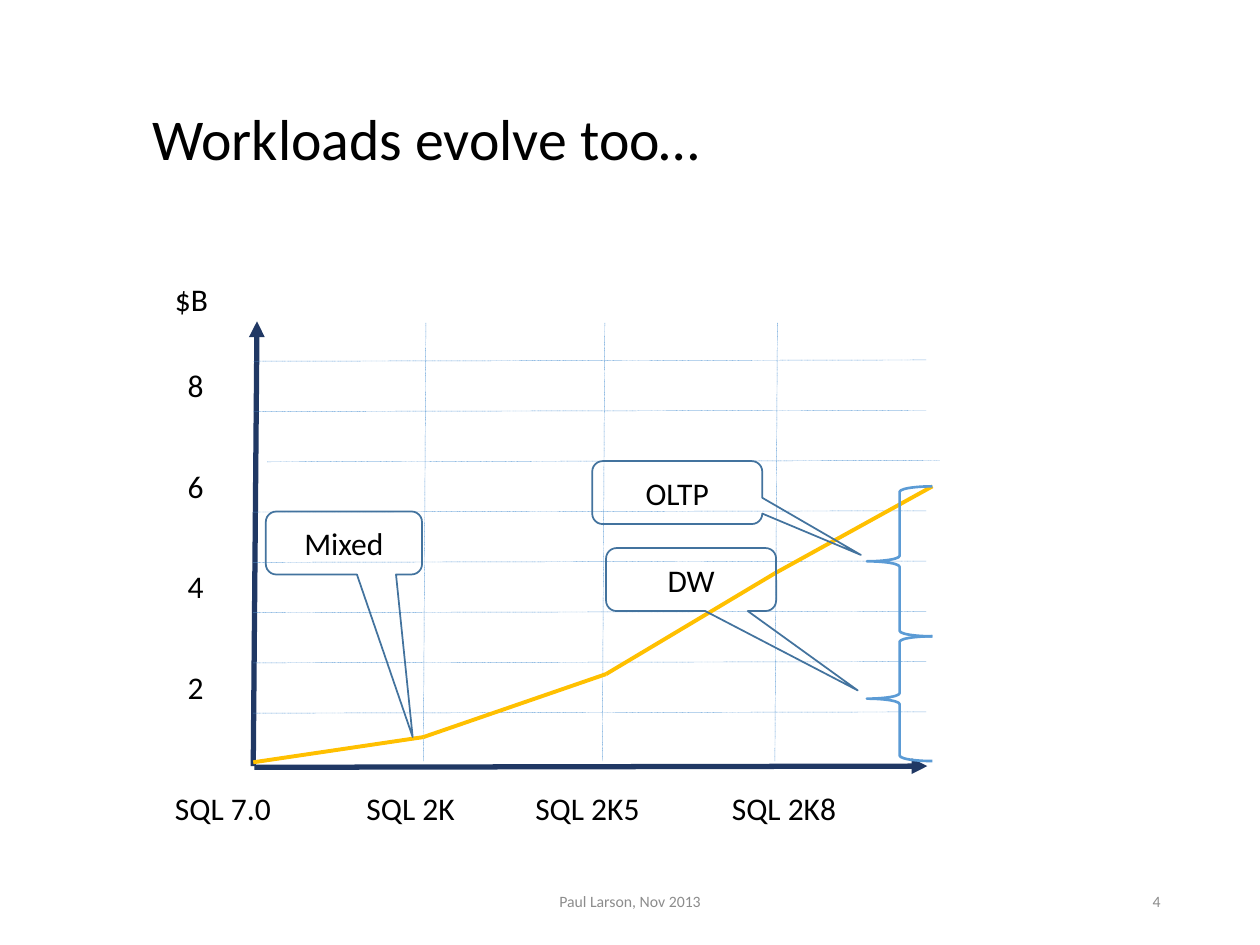
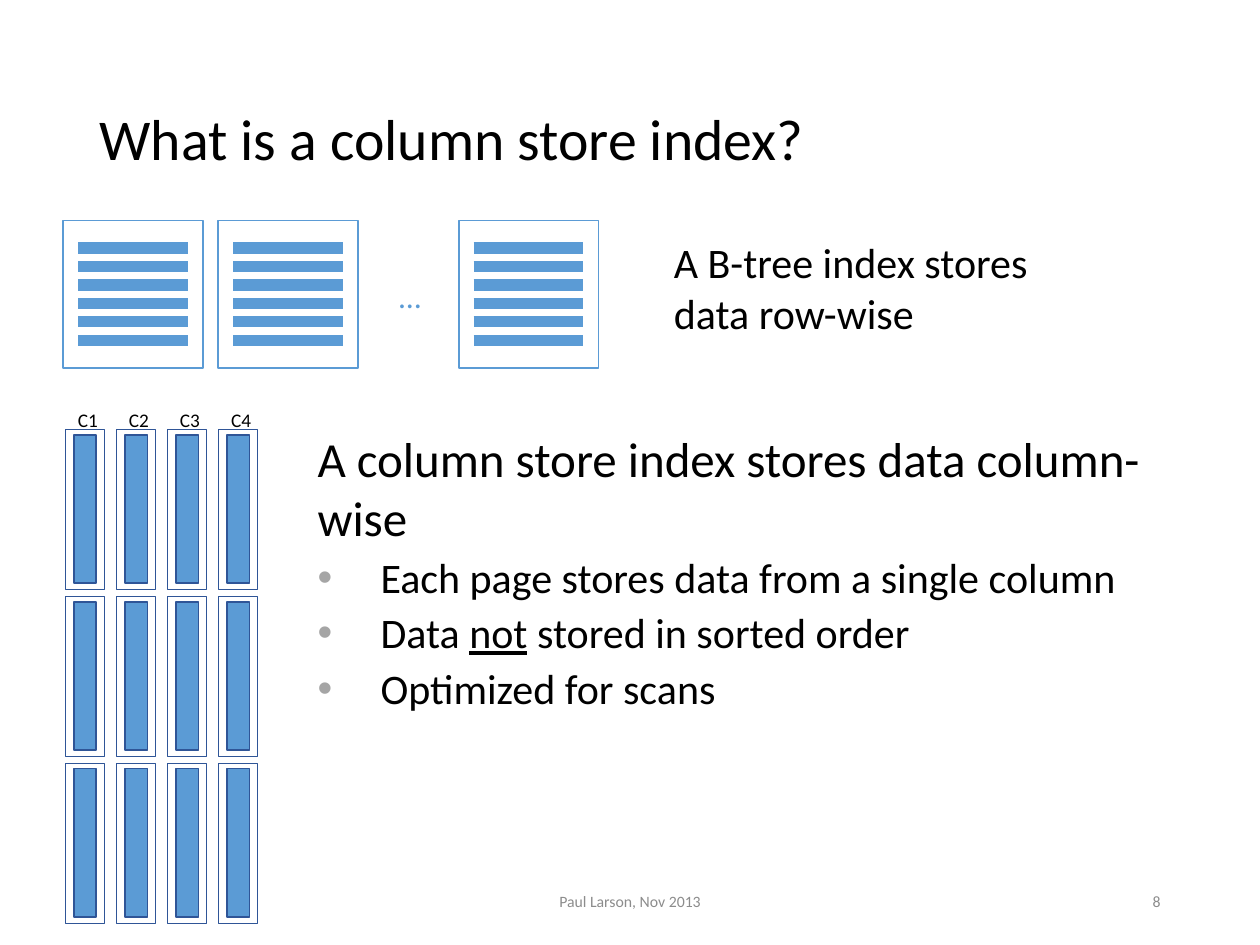
from itertools import pairwise

from lxml import etree
from pptx import Presentation
from pptx.dml.color import RGBColor
from pptx.enum.dml import MSO_LINE
from pptx.enum.shapes import MSO_CONNECTOR, MSO_SHAPE
from pptx.enum.text import MSO_ANCHOR, MSO_AUTO_SIZE, PP_ALIGN
from pptx.oxml.ns import qn
from pptx.util import Inches, Pt

STRAIGHT = MSO_CONNECTOR.STRAIGHT
RECTANGLE = MSO_SHAPE.RECTANGLE
BRACE = MSO_SHAPE.LEFT_BRACE
CALLOUT = MSO_SHAPE.ROUNDED_RECTANGULAR_CALLOUT
DOTTED = MSO_LINE.ROUND_DOT
LEFT, CENTER, RIGHT = PP_ALIGN.LEFT, PP_ALIGN.CENTER, PP_ALIGN.RIGHT
TOP, MIDDLE = MSO_ANCHOR.TOP, MSO_ANCHOR.MIDDLE
NO_RESIZE = MSO_AUTO_SIZE.NONE

GRID_COLUMNS, GRID_ROWS = 100, 75
TITLE_LAYOUT, BODY_LAYOUT = 5, 1

FONT = "Calibri"
BLACK = "000000"
GRAY = "8C8C8C"
BULLET_GRAY = "A5A5A5"
BLUE = "5B9BD5"
CALLOUT_BLUE = "43739E"
FRAME_BLUE = "2F5597"
NAVY = "203864"
GOLD = "FFC000"


def color(value):
    return RGBColor.from_string(value)


def apply(target, values):
    for name, value in values.items():
        setattr(target, name, value)


class SlideBuilder:
    def __init__(self, deck):
        self.deck = deck
        self.page = None

    def across(self, columns):
        return round(self.deck.slide_width * columns / GRID_COLUMNS)

    def down(self, rows):
        return round(self.deck.slide_height * rows / GRID_ROWS)

    def area(self, left, top, width, height):
        return self.across(left), self.down(top), self.across(width), self.down(height)

    def place(self, shape, area):
        apply(shape, dict(zip(("left", "top", "width", "height"), self.area(*area))))

    def start(self, layout, title, title_left, number):
        self.page = self.deck.slides.add_slide(self.deck.slide_layouts[layout])
        heading = self.page.shapes.title
        self.place(heading, (title_left, 4, 93.1 - title_left, 14.5))
        self.set_text(heading, title, size=33, anchor=MIDDLE, spacing=0.9)
        small = {"size": 9, "ink": GRAY, "anchor": MIDDLE}
        self.label("Paul Larson, Nov 2013", (33.1, 69.5, 33.8, 4), align=CENTER, **small)
        self.label(str(number), (70.6, 69.5, 22.5, 4), align=RIGHT, **small)

    def span(self, para, text, size, ink=BLACK, underline=None):
        span = para.add_run()
        span.text = text
        apply(span.font, {"name": FONT, "size": Pt(size), "underline": underline})
        span.font.color.rgb = color(ink)

    def set_text(self, box, text, size=18, ink=BLACK, align=LEFT, anchor=TOP,
                 wrap=True, spacing=1.0):
        frame = box.text_frame
        apply(frame, {"word_wrap": wrap, "auto_size": NO_RESIZE, "vertical_anchor": anchor})
        para = frame.paragraphs[0]
        apply(para, {"alignment": align, "line_spacing": spacing})
        self.span(para, text, size, ink)

    def label(self, text, area, **style):
        box = self.page.shapes.add_textbox(*self.area(*area))
        self.set_text(box, text, **style)

    def shape(self, kind, area, line, width=1, fill=None, adjustments=()):
        shape = self.page.shapes.add_shape(kind, *self.area(*area))
        shape.shadow.inherit = False
        if fill:
            shape.fill.solid()
            shape.fill.fore_color.rgb = color(fill)
        else:
            shape.fill.background()
        shape.line.color.rgb = color(line)
        shape.line.width = Pt(width)
        for index, value in enumerate(adjustments):
            shape.adjustments[index] = value
        return shape

    def callout(self, text, area, tip):
        box = self.shape(CALLOUT, area, CALLOUT_BLUE, adjustments=(*tip, 0.167))
        self.set_text(box, text, align=CENTER, anchor=MIDDLE)

    def line(self, start, end, ink, width, dash=None, arrow=False):
        line = self.page.shapes.add_connector(
            STRAIGHT, self.across(start[0]), self.down(start[1]),
            self.across(end[0]), self.down(end[1]))
        line.line.color.rgb = color(ink)
        apply(line.line, {"width": Pt(width), "dash_style": dash})
        properties = line.element.spPr
        if arrow:
            etree.SubElement(properties.find(qn("a:ln")), qn("a:tailEnd"), type="triangle")
        etree.SubElement(properties, qn("a:effectLst"))

    def body(self, area, lead, points):
        box = self.page.placeholders[1]
        self.place(box, area)
        frame = box.text_frame
        apply(frame, {"word_wrap": True, "auto_size": NO_RESIZE, "vertical_anchor": TOP})
        for index, spans in enumerate([lead, *points]):
            para = frame.paragraphs[0] if index == 0 else frame.add_paragraph()
            self.bullet(para, index > 0)
            apply(para, {"alignment": LEFT, "space_before": Pt(3 if index else 0)})
            for text, underline in spans:
                self.span(para, text, 24 if index else 28, underline=underline)

    def bullet(self, para, shown):
        properties = para._p.get_or_add_pPr()
        indent = Inches(0.5) if shown else 0
        properties.set("marL", str(indent))
        properties.set("indent", str(-indent))
        if shown:
            tint = etree.SubElement(properties, qn("a:buClr"))
            etree.SubElement(tint, qn("a:srgbClr"), val=BULLET_GRAY)
            etree.SubElement(properties, qn("a:buChar"), char="•")
        else:
            etree.SubElement(properties, qn("a:buNone"))


def workloads(builder):
    builder.start(TITLE_LAYOUT, "Workloads evolve too…", 11.1, 4)

    builder.line((20.2, 60.9), (73.6, 60.8), NAVY, 3, arrow=True)
    builder.line((20.1, 60.8), (20.4, 25.5), NAVY, 3, arrow=True)
    releases = {"SQL 7.0": 12.9, "SQL 2K": 28.1, "SQL 2K5": 41.5, "SQL 2K8": 57.1}
    for release, left in releases.items():
        builder.label(release, (left, 62.1, 14.2, 4.8))

    for column in (33.6, 47.8, 61.5):
        builder.line((column, 60.4), (column + 0.2, 25.6), BLUE, 0.25, DOTTED)
    grid_step = 3.99
    for index in range(8):
        left = 21.2 if index == 5 else 20.1
        row = 56.6 - index * grid_step
        builder.line((left, row), (left + 53.4, row - 0.1), BLUE, 0.25, DOTTED)
    for index in range(4):
        builder.label(str(2 * index + 2), (13.9, 52.5 - 2 * index * grid_step, 6.2, 4.8))
    builder.label("$B", (12.9, 21.7, 8.3, 4.8))

    revenue = [(20.1, 60.5), (33.6, 58.5), (48.1, 53.5), (61.5, 45.5), (74, 38.6)]
    for start, end in pairwise(revenue):
        builder.line(start, end, GOLD, 2.25)
    for top, height in ((38.6, 11.9), (50.5, 9.9)):
        builder.shape(BRACE, (68.8, top, 5.2, height), BLUE, 1.5)

    builder.callout("OLTP", (47, 36.6, 13.5, 5), (1.08, 0.99))
    builder.callout("DW", (48.1, 43.5, 13.5, 5), (0.98, 1.76))
    builder.callout("Mixed", (21.1, 40.6, 12.4, 5), (0.44, 3.08))


def column_store(builder):
    builder.start(BODY_LAYOUT, "What is a column store index?", 6.9, 8)
    builder.body(
        (24.2, 33.5, 74.2, 35.7),
        [("A column store index stores data column-wise", None)],
        [[("Each page stores data from a single column", None)],
         [("Data ", None), ("not", True), (" stored in sorted order", None)],
         [("Optimized for scans", None)]])

    builder.label("…", (30.7, 21.5, 3.5, 3.5), ink=BLUE)
    for page_left in (5, 17.3, 36.4):
        builder.shape(RECTANGLE, (page_left, 17.5, 11.1, 11.7), BLUE)
        for index in range(6):
            row = 19.7 + 1.46 * index
            builder.line((page_left + 1.2, row), (page_left + 9.9, row), BLUE, 6.5)
    builder.label("A B-tree index stores data row-wise", (52.5, 18.3, 32.5, 9.1), size=24)

    for column in range(4):
        left = 5.2 + 4.05 * column
        builder.label(f"C{column + 1}", (left, 31.9, 4.1, 2.7), size=11, wrap=False)
        for segment in range(3):
            top = 34.1 + 13.25 * segment
            builder.shape(RECTANGLE, (left, top, 3.1, 12.7), FRAME_BLUE)
            builder.shape(RECTANGLE, (left + 0.65, top + 0.4, 1.8, 11.8), FRAME_BLUE, fill=BLUE)


def main():
    deck = Presentation()
    apply(deck, {"slide_width": Inches(10), "slide_height": Inches(7.5)})
    builder = SlideBuilder(deck)
    workloads(builder)
    column_store(builder)
    deck.save("out.pptx")


if __name__ == "__main__":
    main()
